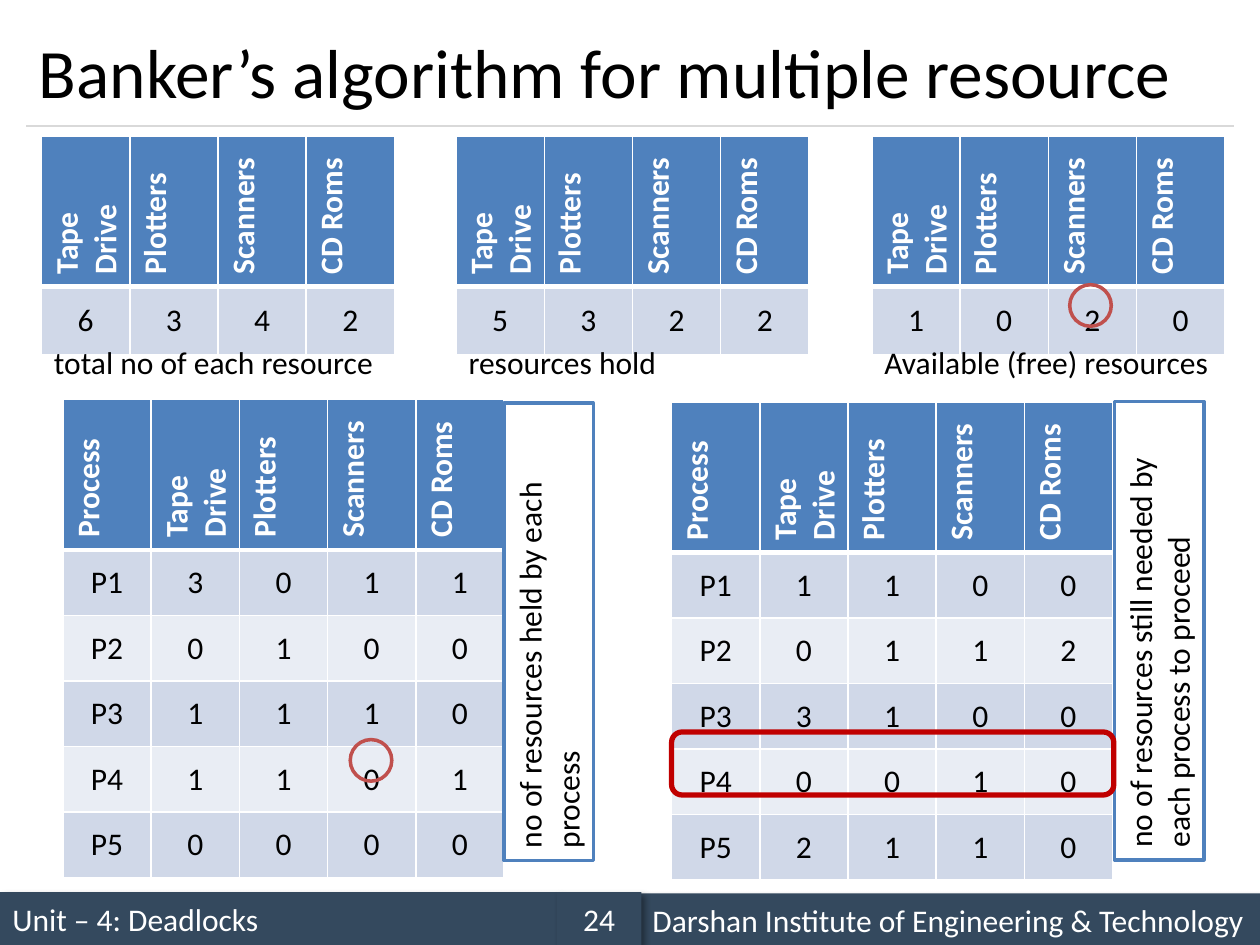
from lxml import etree
from pptx import Presentation
from pptx.dml.color import RGBColor
from pptx.enum import shapes, text
from pptx.oxml import ns
from pptx.util import Inches, Pt

FONT = "Calibri"
COLORS = {
    "black": "000000", "white": "FFFFFF", "bar": "34495E", "rule": "D9D9D9",
    "head": "4F81BD", "odd": "D0D8E8", "even": "E9EDF4",
    "ring": "C0504D", "mark": "C00000",
}
KINDS = ["Tape Drive", "Plotters", "Scanners", "CD Roms"]
TOTAL, HOLD, FREE = [6, 3, 4, 2], [5, 3, 2, 2], [1, 0, 2, 0]
HELD = [[3, 0, 1, 1], [0, 1, 0, 0], [1, 1, 1, 0], [1, 1, 0, 1], [0, 0, 0, 0]]
NEED = [[1, 1, 0, 0], [0, 1, 1, 2], [3, 1, 0, 0], [0, 0, 1, 0], [2, 1, 1, 0]]
COL = 0.7


def rgb(name):
    return RGBColor.from_string(COLORS[name])


def box(at):
    return [Inches(n) for n in at]


def write(frame, words, color="black", size=18, bold=False, align="LEFT"):
    para = frame.paragraphs[0]
    para.alignment = getattr(text.PP_ALIGN, align)
    run = para.add_run()
    run.text = words
    font = run.font
    font.name, font.size, font.bold = FONT, Pt(size), bold
    font.color.rgb = rgb(color)


def label(slide, at, words, size=18, anchor="TOP"):
    frame = slide.shapes.add_textbox(*box(at)).text_frame
    frame.word_wrap = True
    frame.vertical_anchor = getattr(text.MSO_ANCHOR, anchor)
    write(frame, words, size=size)


def shape(slide, kind, at, fill=None, line=None, width=2):
    item = slide.shapes.add_shape(getattr(shapes.MSO_SHAPE, kind), *box(at))
    item.shadow.inherit = False
    if fill:
        item.fill.solid()
        item.fill.fore_color.rgb = rgb(fill)
    else:
        item.fill.background()
    if line:
        item.line.color.rgb = rgb(line)
        item.line.width = Pt(width)
    else:
        item.line.fill.background()
    return item


def bar(slide, at, words, align="LEFT"):
    item = shape(slide, "RECTANGLE", at, fill="bar")
    # Soft shadow towards the lower right
    effect = item._element.spPr.find(ns.qn("a:effectLst"))
    shade = etree.SubElement(effect, ns.qn("a:outerShdw"), blurRad=str(Pt(4)),
                             dist=str(Pt(3)), dir="2700000", algn="tl",
                             rotWithShape="0")
    tint = etree.SubElement(shade, ns.qn("a:srgbClr"), val=COLORS["black"])
    etree.SubElement(tint, ns.qn("a:alpha"), val="40000")
    frame = item.text_frame
    frame.word_wrap = True
    frame.vertical_anchor = text.MSO_ANCHOR.MIDDLE
    write(frame, words, "white", align=align)


def rule(slide, left, right, top):
    line = slide.shapes.add_connector(
        shapes.MSO_CONNECTOR.STRAIGHT, *box([left, top, right, top]))
    line.line.color.rgb = rgb("rule")
    line.line.width = Pt(0.75)
    etree.SubElement(line._element.spPr, ns.qn("a:effectLst"))


def note(slide, at, words):
    item = shape(slide, "RECTANGLE", at, fill="white", line="head")
    item.rotation = 270
    frame = item.text_frame
    frame.word_wrap = True
    frame.vertical_anchor = text.MSO_ANCHOR.TOP
    write(frame, words)


def edge(cell, base):
    props = cell._tc.get_or_add_tcPr()
    sides = {"lnL": 1, "lnR": 1, "lnT": 1, "lnB": base}
    for spot, (side, width) in enumerate(sides.items()):
        line = etree.Element(ns.qn("a:" + side), w=str(Pt(width)))
        fill = etree.SubElement(line, ns.qn("a:solidFill"))
        etree.SubElement(fill, ns.qn("a:srgbClr"), val=COLORS["white"])
        props.insert(spot, line)


def grid(slide, left, top, names, rows, head, high, side=0.1):
    """Table with upright headings over banded rows of centred values."""
    size = [COL * len(names), head + high * len(rows)]
    table = slide.shapes.add_table(
        len(rows) + 1, len(names), *box([left, top] + size)).table
    for col in table.columns:
        col.width = Inches(COL)
    for r, row in enumerate([names] + rows):
        table.rows[r].height = Inches(high if r else head)
        for c, value in enumerate(row):
            cell = table.cell(r, c)
            cell.vertical_anchor = text.MSO_ANCHOR.MIDDLE
            cell.fill.solid()
            if r:
                cell.fill.fore_color.rgb = rgb("odd" if r % 2 else "even")
                cell.margin_left = cell.margin_right = Inches(side)
                cell.margin_top = cell.margin_bottom = 0
                write(cell.text_frame, str(value), align="CENTER")
            else:
                cell.fill.fore_color.rgb = rgb("head")
                cell._tc.get_or_add_tcPr().set("vert", "vert270")
                write(cell.text_frame, value, "white", bold=True)
            edge(cell, 1 if r else 3)


def stock(slide, left, values, words, wide=2.75, side=0.1):
    grid(slide, left, 1.08, KINDS, [values], 1.06, 0.54, side)
    label(slide, [left, 2.67, wide, 0.4], words)


def jobs(slide, left, top, values):
    rows = [[f"P{n}"] + row for n, row in enumerate(values, 1)]
    grid(slide, left, top, ["Process"] + KINDS, rows, 1.04, 0.52)


def main():
    deck = Presentation()
    deck.slide_width, deck.slide_height = Inches(10), Inches(7.5)
    slide = deck.slides.add_slide(deck.slide_layouts[6])

    # Footer, rule and title
    bar(slide, [0, 7.08, 4.42, 0.42], "Unit – 4: Deadlocks")
    rule(slide, 0.21, 9.79, 1)
    bar(slide, [5.08, 7.09, 4.92, 0.42],
        "Darshan Institute of Engineering & Technology")
    bar(slide, [4.42, 7.08, 0.67, 0.42], "24", "CENTER")
    label(slide, [0.21, 0.12, 9.58, 0.88],
          "Banker’s algorithm for multiple resource", 39.6, "MIDDLE")

    # Resource totals
    stock(slide, 0.33, TOTAL, "total no of each resource", side=0)
    stock(slide, 3.62, HOLD, "resources hold")
    stock(slide, 6.92, FREE, "Available (free) resources", 2.88)

    # Process tables with side notes
    jobs(slide, 0.5, 3.17, HELD)
    note(slide, [2.54, 4.66, 3.63, 0.71],
         "no of resources held by each process")
    note(slide, [7.38, 4.65, 3.64, 0.71],
         "no of resources still needed by each process to proceed")
    jobs(slide, 5.33, 3.19, NEED)

    # Highlights
    shape(slide, "ROUNDED_RECTANGLE", [5.33, 5.81, 3.51, 0.5],
          line="mark", width=3)
    for left, top in [(8.49, 2.26), (2.78, 5.87)]:
        shape(slide, "OVAL", [left, top, 0.33, 0.33], line="ring")

    deck.save("out.pptx")


if __name__ == "__main__":
    main()
